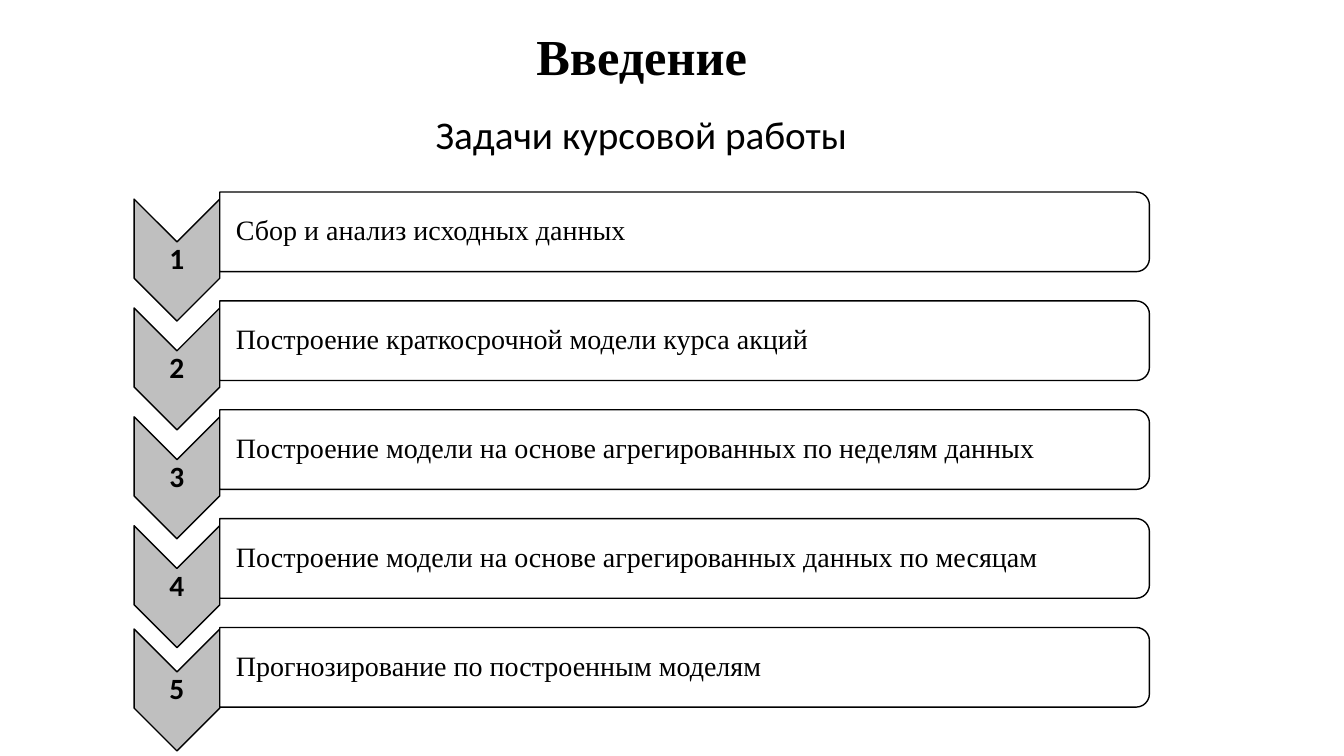
"""Build the introduction slide with five numbered coursework tasks."""
from pptx import Presentation, util as u
from pptx.dml.color import RGBColor
from pptx.enum import shapes, text

HEADINGS = [
    ("Введение", (5.15, 0.2, 2.43, 0.71), dict(size=36, name="Times New Roman", bold=True)),
    ("Задачи курсовой работы", (4.2, 1.05, 4.32, 0.57), dict(size=28, name="Calibri")),
]
TASKS = [
    "Сбор и анализ исходных данных",
    "Построение краткосрочной модели курса акций",
    "Построение модели на основе агрегированных по неделям данных",
    "Построение модели на основе агрегированных данных по месяцам",
    "Прогнозирование по построенным моделям",
]
NUMBER_FONT = dict(size=21, name="Calibri", bold=True)
TASK_FONT = dict(size=20, name="Times New Roman")
BLACK, WHITE, GREY = "000000", "FFFFFF", "BFBFBF"

FIRST_Y, PITCH = 2.3, 1.08
BAR_X, BAR_W, BAR_H = 2.18, 9.22, 0.79
CHEVRON_X, CHEVRON_W, CHEVRON_H = 1.33, 0.85, 1.21
CHEVRON_DROP, LIST_BOTTOM = 0.28, 7.45
NUMBER_H, TASK_W, TASK_H = 0.36, 9.18, 0.71
INSET, TASK_INSET = 0.01, 0.16


def rgb(value):
    return RGBColor.from_string(value)


def inches(values):
    return [u.Inches(v) for v in values]


def add_text(s, words, box, font, **frame):
    tf = s.shapes.add_textbox(*inches(box)).text_frame
    for key, value in frame.items():
        setattr(tf, key, value)
    p = tf.paragraphs[0]
    r = p.add_run()
    r.text = words
    for key, value in font.items():
        setattr(r.font, key, u.Pt(value) if key == "size" else value)
    r.font.color.rgb = rgb(BLACK)
    return p


def add_turned(s, kind, left, middle, width, height, fill):
    x, y = left + (width - height) / 2, middle - width / 2
    sp = s.shapes.add_shape(kind, *inches((x, y, height, width)))
    sp.rotation = 90
    sp.shadow.inherit = False
    sp.fill.solid()
    sp.fill.fore_color.rgb = rgb(fill)
    sp.line.color.rgb = rgb(BLACK)
    sp.line.width = u.Pt(1)


def add_task(s, index, words):
    bar_y = FIRST_Y + index * PITCH
    chevron_y = min(bar_y + CHEVRON_DROP, LIST_BOTTOM - CHEVRON_H / 2)
    frame = dict.fromkeys(("margin_left", "margin_right", "margin_top", "margin_bottom"), u.Inches(INSET))
    frame.update(word_wrap=True, vertical_anchor=text.MSO_ANCHOR.MIDDLE)
    kinds = shapes.MSO_SHAPE

    add_turned(s, kinds.CHEVRON, CHEVRON_X, chevron_y, CHEVRON_W, CHEVRON_H, GREY)
    box = (CHEVRON_X, chevron_y - NUMBER_H / 2, CHEVRON_W, NUMBER_H)
    p = add_text(s, str(index + 1), box, NUMBER_FONT, **frame)
    p.alignment = text.PP_ALIGN.CENTER
    p.line_spacing = 0.9

    add_turned(s, kinds.ROUND_2_SAME_RECTANGLE, BAR_X, bar_y, BAR_W, BAR_H, WHITE)
    frame["margin_left"] = u.Inches(TASK_INSET)
    box = (BAR_X, bar_y - TASK_H / 2, TASK_W, TASK_H)
    add_text(s, words, box, TASK_FONT, **frame).line_spacing = 0.9


def main():
    prs = Presentation()
    prs.slide_width, prs.slide_height = inches((13.33, 7.5))
    s = prs.slides.add_slide(prs.slide_layouts[6])
    for words, box, font in HEADINGS:
        p = add_text(s, words, box, font, word_wrap=False)
        p.alignment = text.PP_ALIGN.CENTER
    for index, words in enumerate(TASKS):
        add_task(s, index, words)
    prs.save("out.pptx")


if __name__ == "__main__":
    main()
